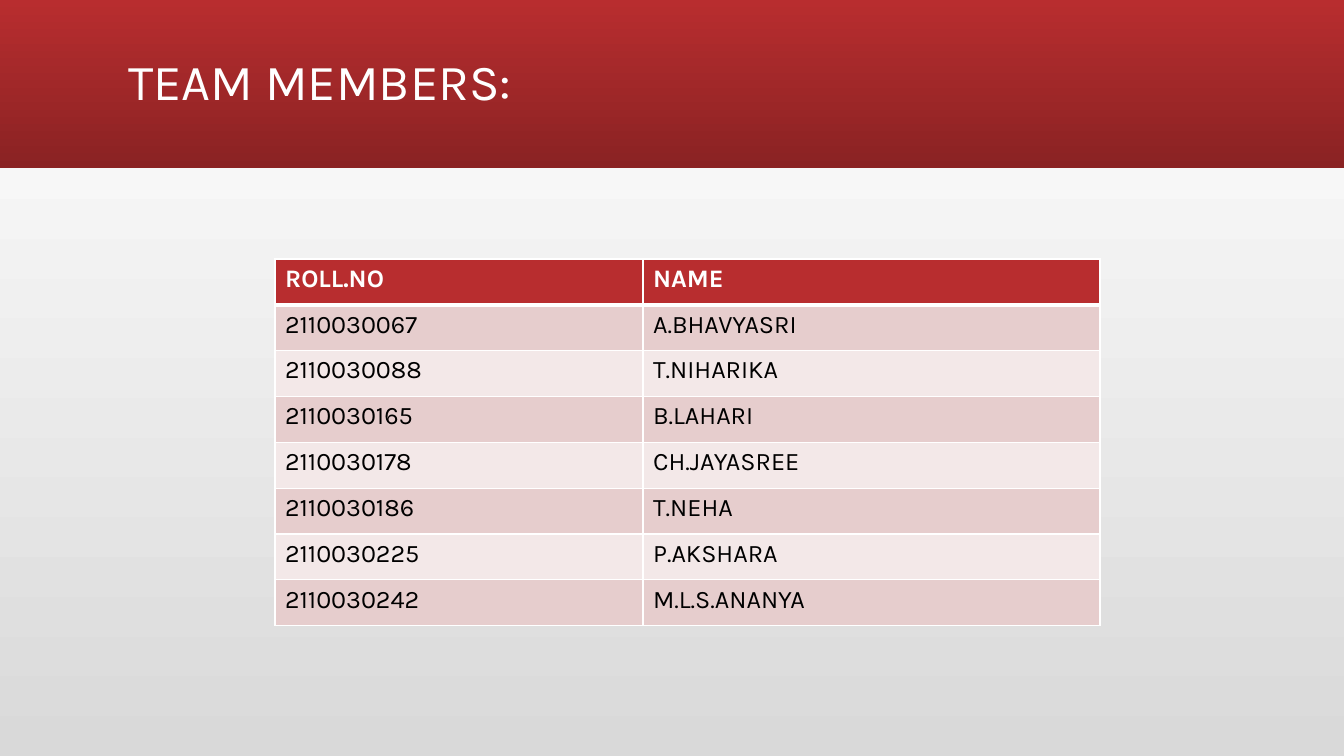
from pptx import Presentation
from pptx.dml.color import RGBColor as RGB
from pptx.enum.shapes import MSO_SHAPE as SHAPE
from pptx.enum.text import MSO_ANCHOR as ANCHOR, MSO_AUTO_SIZE as FIT, PP_ALIGN as ALIGN
from pptx.oxml import parse_xml
from pptx.oxml.ns import nsdecls
from pptx.util import Pt

PX = 12192000 / 1344  # EMU per px

THEME = {
    "font": "Karla", "title": 36, "cell": 18,
    "white": "FFFFFF", "black": "000000", "grey": "D9D9D9",
    "red": "B82D2F", "dark red": "8A2223",
    "bands": ("F3E8E8", "E6CDCD"),
}

MEMBERS = [
    ("ROLL.NO", "NAME"),
    ("2110030067", "A.BHAVYASRI"),
    ("2110030088", "T.NIHARIKA"),
    ("2110030165", "B.LAHARI"),
    ("2110030178", "CH.JAYASREE"),
    ("2110030186", "T.NEHA"),
    ("2110030225", "P.AKSHARA"),
    ("2110030242", "M.L.S.ANANYA"),
]


def px(*lengths):
    return [round(n * PX) for n in lengths]


def set_gradient(fill, start, end, angle):
    fill.gradient()
    fill.gradient_angle = angle
    for stop, color in zip(fill.gradient_stops, (start, end)):
        stop.color.rgb = RGB.from_string(color)


prs = Presentation()
prs.slide_width, prs.slide_height = px(1344, 756)
s = prs.slides.add_slide(prs.slide_layouts[5])

# Background
set_gradient(s.background.fill, THEME["grey"], THEME["white"], 90)

# Header band, placed behind the title
sp = s.shapes.add_shape(SHAPE.RECTANGLE, *px(0, 0, 1344, 168))
sp.shadow.inherit = False
sp.line.fill.background()
set_gradient(sp.fill, THEME["red"], THEME["dark red"], 270)
s.shapes.title._element.addprevious(sp._element)

# Title
title = s.shapes.title
title.left, title.top, title.width, title.height = px(118, 11, 1109, 146)
tf = title.text_frame
tf.text = "TEAM MEMBERS:"
tf.word_wrap = True
tf.auto_size = FIT.NONE
tf.vertical_anchor = ANCHOR.MIDDLE
p = tf.paragraphs[0]
p.alignment = ALIGN.LEFT
p.line_spacing = 0.9
p.font.name = THEME["font"]
p.font.size = Pt(THEME["title"])
p.font.color.rgb = RGB.from_string(THEME["white"])

# Members table
table = s.shapes.add_table(len(MEMBERS), 2, *px(275, 259, 825, 367)).table
for column, width in zip(table.columns, px(368, 457)):
    column.width = width

for i, member in enumerate(MEMBERS):
    header = i == 0
    for j, text in enumerate(member):
        cell = table.cell(i, j)
        cell.text = text
        p = cell.text_frame.paragraphs[0]
        p.font.name = THEME["font"]
        p.font.size = Pt(THEME["cell"])
        p.font.bold = header
        p.font.color.rgb = RGB.from_string(THEME["white" if header else "black"])

        # White borders, heavier along the header's lower edge
        tc_pr = cell._tc.get_or_add_tcPr()
        for side in ("L", "R", "T", "B"):
            heavy = (i, side) in ((0, "B"), (1, "T"))
            tc_pr.append(parse_xml(
                f'<a:ln{side} {nsdecls("a")} w="{Pt(3 if heavy else 1)}"><a:solidFill>'
                f'<a:srgbClr val="{THEME["white"]}"/></a:solidFill></a:ln{side}>'))
        cell.fill.solid()
        cell.fill.fore_color.rgb = RGB.from_string(
            THEME["red"] if header else THEME["bands"][i % 2])

prs.save("out.pptx")
